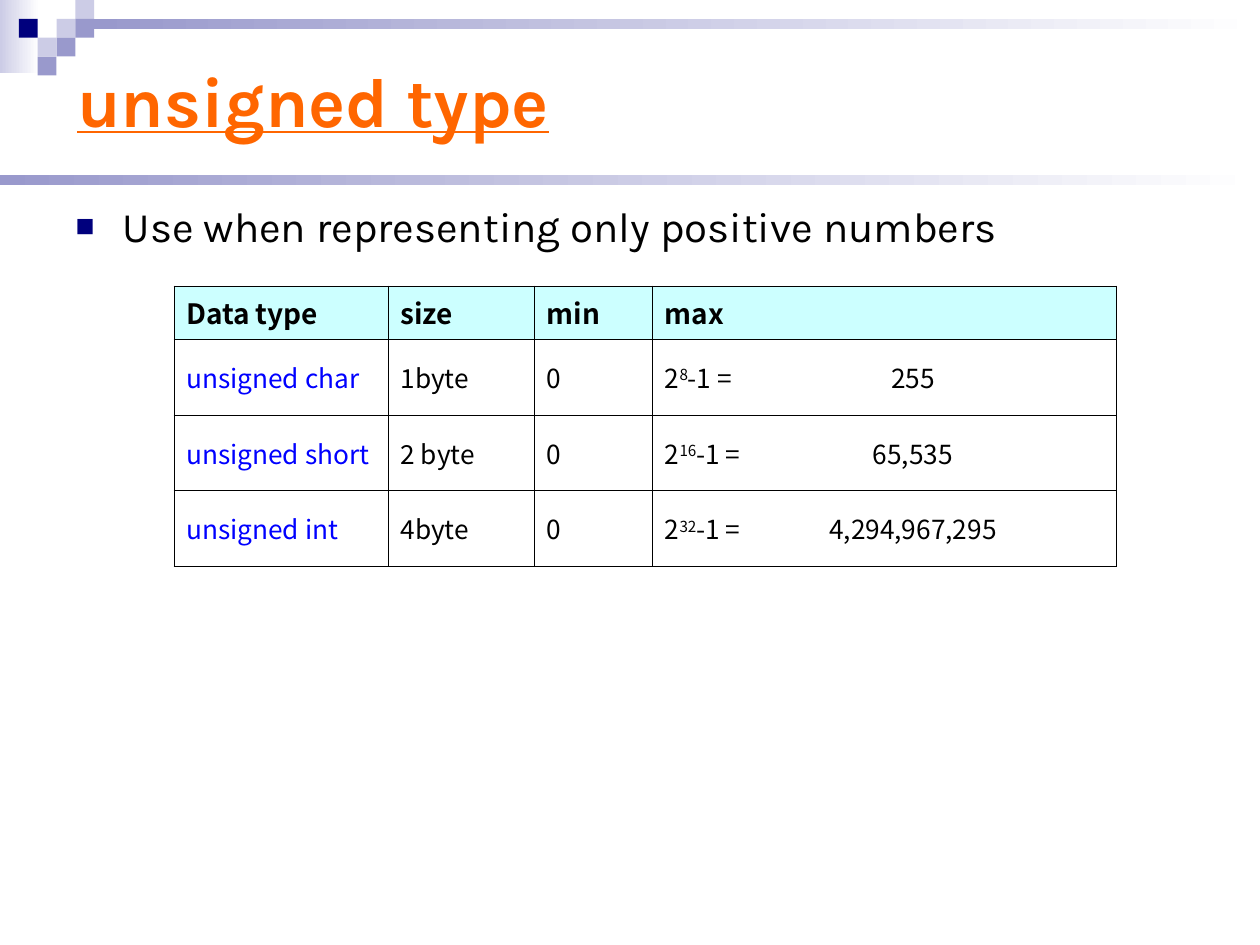
from pptx import Presentation
from pptx.dml.color import RGBColor
from pptx.enum.shapes import MSO_SHAPE
from pptx.enum.text import MSO_ANCHOR, MSO_AUTO_SIZE, PP_ALIGN
from pptx.oxml.ns import qn
from pptx.util import Cm, Pt
from lxml.etree import SubElement

NAVY = RGBColor(0x00, 0x00, 0x7D)
LAVENDER = RGBColor(0x99, 0x99, 0xCC)
PALE_LAVENDER = RGBColor(0xCC, 0xCC, 0xE6)
WHITE = RGBColor(0xFF, 0xFF, 0xFF)
BLACK = RGBColor(0x00, 0x00, 0x00)
ORANGE = RGBColor(0xFF, 0x66, 0x00)
BLUE = RGBColor(0x00, 0x00, 0xFF)
PALE_CYAN = RGBColor(0xCC, 0xFF, 0xFF)

TEXT_FONT = "Karla"
TABLE_FONT = "Noto Sans CJK KR"

SQUARE = 0.38
SQUARES = [  # column, row, colour
    (3, 1, PALE_LAVENDER), (4, 0, PALE_LAVENDER), (4, 1, LAVENDER),
    (2, 2, PALE_LAVENDER), (1, 1, NAVY), (3, 2, LAVENDER), (2, 3, LAVENDER),
]

HEADINGS = ["Data type", "size", "min", "max"]
TYPES = [  # name, size, minimum, exponent, maximum
    ("unsigned char", "1byte", "0", "8", "255"),
    ("unsigned short", "2 byte", "0", "16", "65,535"),
    ("unsigned int", "4byte", "0", "32", "4,294,967,295"),
]
COLUMN_WIDTHS = [4.32, 2.95, 2.38, 9.35]
HEADING_HEIGHT, TYPE_HEIGHT = 0.94, 1.53
MAXIMUM_CENTRE = 5


def add_run(paragraph, text, font, size, color, bold=False):
    run = paragraph.add_run()
    run.text = text
    run.font.name = font
    run.font.size = Pt(size)
    run.font.color.rgb = color
    run.font.bold = bold
    return run


def place(shape, left, top, width, height):
    shape.left, shape.top = Cm(left), Cm(top)
    shape.width, shape.height = Cm(width), Cm(height)


def add_block(slide, left, top, width, height, color, fade=False):
    block = slide.shapes.add_shape(
        MSO_SHAPE.RECTANGLE, Cm(left), Cm(top), Cm(width), Cm(height))
    block.shadow.inherit = False
    block.line.fill.background()
    if fade:
        block.fill.gradient()
        block.fill.gradient_angle = 0
        for stop, stop_color in zip(block.fill.gradient_stops, (color, WHITE)):
            stop.color.rgb = stop_color
    else:
        block.fill.solid()
        block.fill.fore_color.rgb = color


def add_decoration(slide, left, top, width):
    # Fading corner and bars
    add_block(slide, left, top, 0.79, 1.47, PALE_LAVENDER, fade=True)
    bar_left = 5 * SQUARE
    add_block(slide, left + bar_left, top + SQUARE, width - bar_left, 0.2,
              LAVENDER, fade=True)
    add_block(slide, left, top + 3.53, width, 0.2, LAVENDER, fade=True)
    # Mosaic of squares
    for column, row, color in SQUARES:
        add_block(slide, left + column * SQUARE, top + row * SQUARE,
                  SQUARE, SQUARE, color)


def fill_title(slide, left, top, width, height):
    title = slide.shapes.title
    place(title, left, top, width, height)
    frame = title.text_frame
    frame.auto_size = MSO_AUTO_SIZE.NONE
    frame.vertical_anchor = MSO_ANCHOR.MIDDLE
    heading = frame.paragraphs[0]
    heading.alignment = PP_ALIGN.LEFT
    run = add_run(heading, "unsigned type", TEXT_FONT, 40, ORANGE, bold=True)
    run.font.underline = True


def fill_body(slide, left, top, width, height):
    body = slide.placeholders[1]
    place(body, left, top, width, height)
    body.text_frame.auto_size = MSO_AUTO_SIZE.NONE
    usage = body.text_frame.paragraphs[0]
    # Square bullet with hanging indent
    properties = usage._p.get_or_add_pPr()
    properties.set("marL", str(Cm(0.95)))
    properties.set("indent", str(-Cm(0.95)))
    bullet_color = SubElement(properties, qn("a:buClr"))
    SubElement(bullet_color, qn("a:srgbClr"), val=str(NAVY))
    SubElement(properties, qn("a:buSzPct"), val="75000")
    SubElement(properties, qn("a:buChar"), char="■")
    usage.space_before = Pt(0)
    add_run(usage, "Use when representing only positive numbers",
            TEXT_FONT, 24, BLACK)


def format_cell(cell, fill_color=None):
    cell.vertical_anchor = MSO_ANCHOR.MIDDLE
    properties = cell._tc.get_or_add_tcPr()
    for side in ("a:lnL", "a:lnR", "a:lnT", "a:lnB"):
        border = SubElement(properties, qn(side), w=str(Pt(0.06)))
        border_fill = SubElement(border, qn("a:solidFill"))
        SubElement(border_fill, qn("a:srgbClr"), val=str(BLACK))
    if fill_color is None:
        cell.fill.background()
    else:
        cell.fill.solid()
        cell.fill.fore_color.rgb = fill_color
    paragraph = cell.text_frame.paragraphs[0]
    paragraph.alignment = PP_ALIGN.JUSTIFY
    return paragraph


def write_maximum(paragraph, exponent, maximum):
    tabs = SubElement(paragraph._p.get_or_add_pPr(), qn("a:tabLst"))
    SubElement(tabs, qn("a:tab"), pos=str(Cm(MAXIMUM_CENTRE)), algn="ctr")
    add_run(paragraph, "2", TABLE_FONT, 15, BLACK)
    power = add_run(paragraph, exponent, TABLE_FONT, 15, BLACK)
    power.font._element.set("baseline", "30000")
    add_run(paragraph, f"-1 =\t{maximum}", TABLE_FONT, 15, BLACK)


def add_type_table(slide, left, top):
    heights = [HEADING_HEIGHT] + [TYPE_HEIGHT] * len(TYPES)
    table = slide.shapes.add_table(
        len(heights), len(HEADINGS), Cm(left), Cm(top),
        Cm(sum(COLUMN_WIDTHS)), Cm(sum(heights))).table
    table.horz_banding = False
    for column, width in zip(table.columns, COLUMN_WIDTHS):
        column.width = Cm(width)
    for row, height in zip(table.rows, heights):
        row.height = Cm(height)
    # Heading row
    for column, heading in enumerate(HEADINGS):
        paragraph = format_cell(table.cell(0, column), PALE_CYAN)
        add_run(paragraph, heading, TABLE_FONT, 16, BLACK, bold=True)
    # One row for each type
    for row, (*texts, exponent, maximum) in enumerate(TYPES, start=1):
        for column, text in enumerate(texts):
            paragraph = format_cell(table.cell(row, column))
            add_run(paragraph, text, TABLE_FONT, 15,
                    BLACK if column else BLUE)
        write_maximum(format_cell(table.cell(row, len(texts))),
                      exponent, maximum)


def main():
    presentation = Presentation()
    presentation.slide_width, presentation.slide_height = Cm(25.4), Cm(19.05)
    slide = presentation.slides.add_slide(presentation.slide_layouts[1])
    add_decoration(slide, 0, 0, 25.4)
    fill_title(slide, 1.3, 0.71, 22.86, 2.59)
    fill_body(slide, 1.27, 3.91, 22.86, 13.41)
    add_type_table(slide, 3.5, 5.76)
    presentation.save("out.pptx")


if __name__ == "__main__":
    main()
